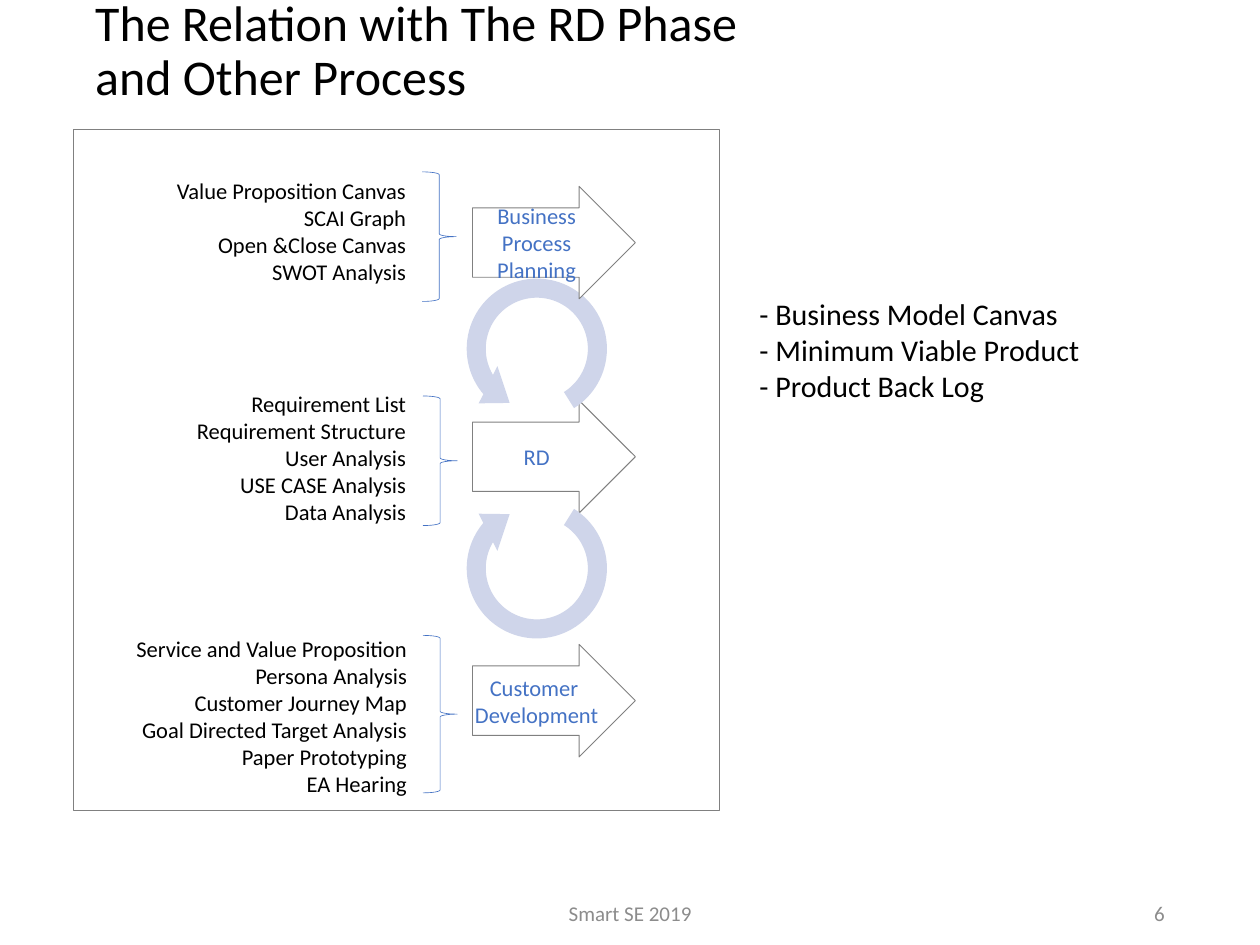
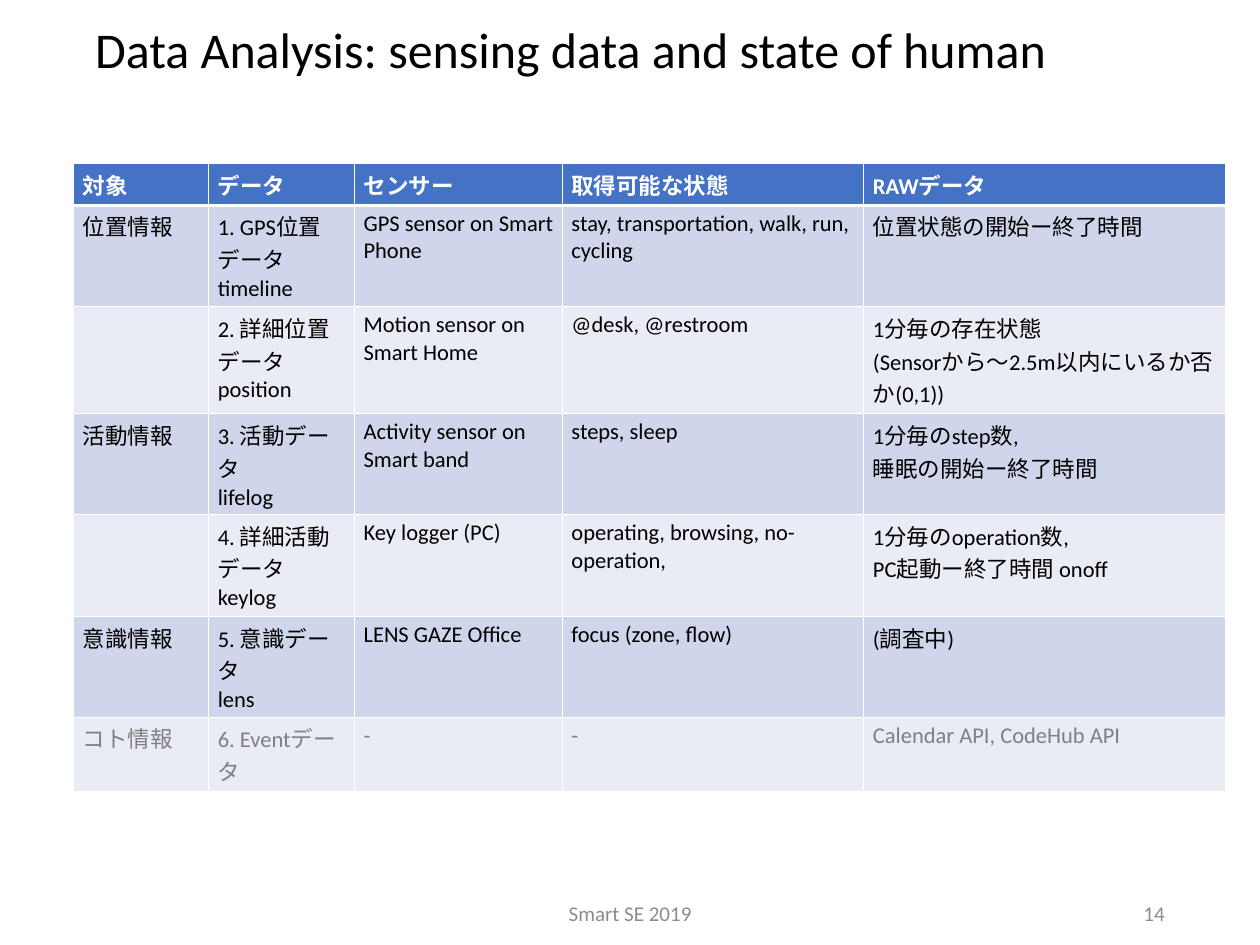
"""Build two slides on the RD phase and on sensing data."""
import pptx
import pptx.dml.color
import pptx.enum.shapes
import pptx.enum.text
import pptx.oxml
import pptx.oxml.ns
import pptx.util

Inches = pptx.util.Inches
Pt = pptx.util.Pt
RGBColor = pptx.dml.color.RGBColor
Align = pptx.enum.text.PP_ALIGN
Anchor = pptx.enum.text.MSO_ANCHOR
Shape = pptx.enum.shapes.MSO_SHAPE

BLACK = RGBColor(0x00, 0x00, 0x00)
WHITE = RGBColor(0xFF, 0xFF, 0xFF)
GREY = RGBColor(0x80, 0x80, 0x80)
FOOTER_GREY = RGBColor(0x8C, 0x8C, 0x8C)
BLUE = RGBColor(0x44, 0x72, 0xC4)
BAND_DARK = RGBColor(0xCF, 0xD5, 0xEA)
BAND_LIGHT = RGBColor(0xE9, 0xEB, 0xF5)
FONT = "Calibri"

FOOTER = "Smart SE 2019"
RELATION_TITLE = "The Relation with The RD Phase \vand Other Process"
DATA_TITLE = "Data Analysis: sensing data and state of human"

PHASES = [
    dict(name=["RD"], arrow_top=4.45, fill=None, wrap=True,
         brace=(4.7, 4.4, 0.38, 1.44), methods_at=(2.06, 4.28, 2.55, 1.62),
         methods=["Requirement List", "Requirement Structure", "User Analysis",
                  "USE CASE Analysis", "Data Analysis"]),
    dict(name=["Business Process Planning"], arrow_top=2.07, fill=WHITE, wrap=True,
         brace=(4.69, 1.91, 0.38, 1.44), methods_at=(1.83, 1.92, 2.78, 1.31),
         methods=["Value Proposition Canvas", "SCAI Graph",
                  "Open &Close Canvas", "SWOT Analysis"]),
    dict(name=["Customer ", "Development"], arrow_top=7.16, fill=WHITE, wrap=False,
         brace=(4.7, 7.06, 0.38, 1.75), methods_at=(1.37, 7.01, 3.25, 1.92),
         methods=["Service and Value Proposition", "Persona Analysis",
                  "Customer Journey Map", "Goal Directed Target Analysis",
                  "Paper Prototyping", "EA Hearing"]),
]
CYCLES = [(5.41, False), (2.97, True)]
CYCLE_ADJUSTMENTS = (0.117, 16.159, 129.856, 181.235, 0.128)
OUTCOMES = ["- Business Model Canvas", "- Minimum Viable Product",
            "- Product Back Log"]

COLUMN_WIDTHS = [1.5, 1.62, 2.31, 3.35, 4.02]
ROW_HEIGHTS = [0.46, 1.13, 1.19, 1.12, 1.13, 1.12, 0.83]
SENSING_ROWS = [
    ["対象", "データ", "センサー", "取得可能な状態", "RAWデータ"],
    ["位置情報", "1. GPS位置データ\ntimeline", "GPS sensor on Smart Phone",
     "stay, transportation, walk, run, cycling", "位置状態の開始ー終了時間"],
    ["", "2. 詳細位置データ\vposition", "Motion sensor on Smart Home",
     "@desk, @restroom",
     "1分毎の存在状態\n(Sensorから～2.5m以内にいるか否か(0,1))"],
    ["活動情報", "3. 活動データ\vlifelog", "Activity sensor on Smart band",
     "steps, sleep", "1分毎のstep数,\n睡眠の開始ー終了時間"],
    ["", "4. 詳細活動データ\vkeylog", "Key logger (PC)",
     "operating, browsing, no-operation,",
     "1分毎のoperation数,\nPC起動ー終了時間 onoff"],
    ["意識情報", "5. 意識データ\nlens", "LENS GAZE Office",
     "focus (zone, flow)", "(調査中)"],
    ["コト情報", "6. Eventデータ", "-", "-", "Calendar API, CodeHub API"],
]


def write(frame, lines, size=18, color=BLACK, align=Align.LEFT,
          anchor=Anchor.TOP, wrap=True, bold=False, spacing=None):
    """Fill a text frame with one paragraph per line."""
    frame.word_wrap = wrap
    frame.vertical_anchor = anchor
    for index, line in enumerate(lines):
        para = frame.paragraphs[0] if index == 0 else frame.add_paragraph()
        para.text = line
        para.alignment = align
        para.line_spacing = spacing
        for span in para.runs:
            span.font.name = FONT
            span.font.size = Pt(size)
            span.font.bold = bold
            span.font.color.rgb = color


def add_text(page, at, lines, **text_format):
    """Add a text box."""
    box = page.shapes.add_textbox(*map(Inches, at))
    write(box.text_frame, lines, **text_format)


def add_shape(page, kind, at, fill=None, line=None, width=0.75):
    """Add a preset shape without shadow."""
    shape = page.shapes.add_shape(kind, *map(Inches, at))
    shape.shadow.inherit = False
    if fill is None:
        shape.fill.background()
    else:
        shape.fill.solid()
        shape.fill.fore_color.rgb = fill
    if line is None:
        shape.line.fill.background()
    else:
        shape.line.color.rgb = line
        shape.line.width = Pt(width)
    return shape


def add_page(deck, title, number):
    """Add a slide with the shared title and footer."""
    page = deck.slides.add_slide(deck.slide_layouts[6])
    add_text(page, (0.96, 0.12, 12.07, 0.92), [title], size=40,
             anchor=Anchor.MIDDLE, spacing=0.9)
    footer_format = dict(size=16.8, color=FOOTER_GREY, anchor=Anchor.MIDDLE)
    add_text(page, (4.64, 10, 4.72, 0.29), [FOOTER], align=Align.CENTER, **footer_format)
    add_text(page, (9.89, 10, 3.15, 0.29), [str(number)], align=Align.RIGHT,
             **footer_format)
    return page


def add_phase_arrow(page, phase):
    """Add the block arrow that names a phase."""
    arrow = add_shape(page, Shape.RIGHT_ARROW, (5.25, phase["arrow_top"], 1.81, 1.25),
                      fill=phase["fill"], line=GREY)
    arrow.adjustments[0] = 0.617
    write(arrow.text_frame, phase["name"], color=BLUE, align=Align.CENTER,
          anchor=Anchor.MIDDLE, wrap=phase["wrap"])


def add_cycle(page, top, flipped):
    """Add a circular arrow between two phases."""
    cycle = add_shape(page, Shape.CIRCULAR_ARROW, (5.06, top, 1.81, 1.81), fill=BAND_DARK)
    for index, value in enumerate(CYCLE_ADJUSTMENTS):
        cycle.adjustments[index] = value
    if flipped:
        cycle._element.spPr.xfrm.set("flipV", "1")


def build_relation(deck):
    """Build the slide that relates the phases."""
    page = add_page(deck, RELATION_TITLE, 6)
    add_phase_arrow(page, PHASES[0])
    for top, flipped in CYCLES:
        add_cycle(page, top, flipped)
    for phase in PHASES[1:]:
        add_phase_arrow(page, phase)
    for phase in PHASES:
        add_shape(page, Shape.RIGHT_BRACE, phase["brace"], line=BLUE, width=0.5)
        add_text(page, phase["methods_at"], phase["methods"],
                 align=Align.RIGHT, wrap=False)
    add_shape(page, Shape.RECTANGLE, (0.82, 1.44, 7.17, 7.57), line=GREY)
    add_text(page, (8.34, 3.23, 3.79, 1.31), OUTCOMES, size=24, wrap=False)


def add_borders(cell, top, bottom):
    """Draw white cell borders, with top and bottom widths in points."""
    properties = cell._tc.get_or_add_tcPr()
    for side, width in (("L", 1), ("R", 1), ("T", top), ("B", bottom)):
        properties.append(pptx.oxml.parse_xml(
            f'<a:ln{side} {pptx.oxml.ns.nsdecls("a")} w="{Pt(width)}">'
            f'<a:solidFill><a:srgbClr val="{WHITE}"/></a:solidFill></a:ln{side}>'))


def build_sensing(deck):
    """Build the slide with the sensing table."""
    page = add_page(deck, DATA_TITLE, 14)
    row_count = len(SENSING_ROWS)
    frame = page.shapes.add_table(
        row_count, len(COLUMN_WIDTHS), Inches(0.82), Inches(1.82),
        Inches(sum(COLUMN_WIDTHS)), Inches(sum(ROW_HEIGHTS)))
    table = frame.table
    for column, width in zip(table.columns, COLUMN_WIDTHS):
        column.width = Inches(width)
    for row, height in zip(table.rows, ROW_HEIGHTS):
        row.height = Inches(height)
    for row_index, texts in enumerate(SENSING_ROWS):
        header = row_index == 0
        fill = BLUE if header else (BAND_DARK if row_index % 2 else BAND_LIGHT)
        color = WHITE if header else (GREY if row_index == row_count - 1 else BLACK)
        for column_index, text in enumerate(texts):
            cell = table.cell(row_index, column_index)
            add_borders(cell, 3 if row_index == 1 else 1, 3 if header else 1)
            cell.fill.solid()
            cell.fill.fore_color.rgb = fill
            write(cell.text_frame, text.split("\n"), color=color, bold=header)


def main():
    """Build and save the deck."""
    deck = pptx.Presentation()
    deck.slide_width = Inches(14)
    deck.slide_height = Inches(10.5)
    build_relation(deck)
    build_sensing(deck)
    deck.save("out.pptx")


if __name__ == "__main__":
    main()
